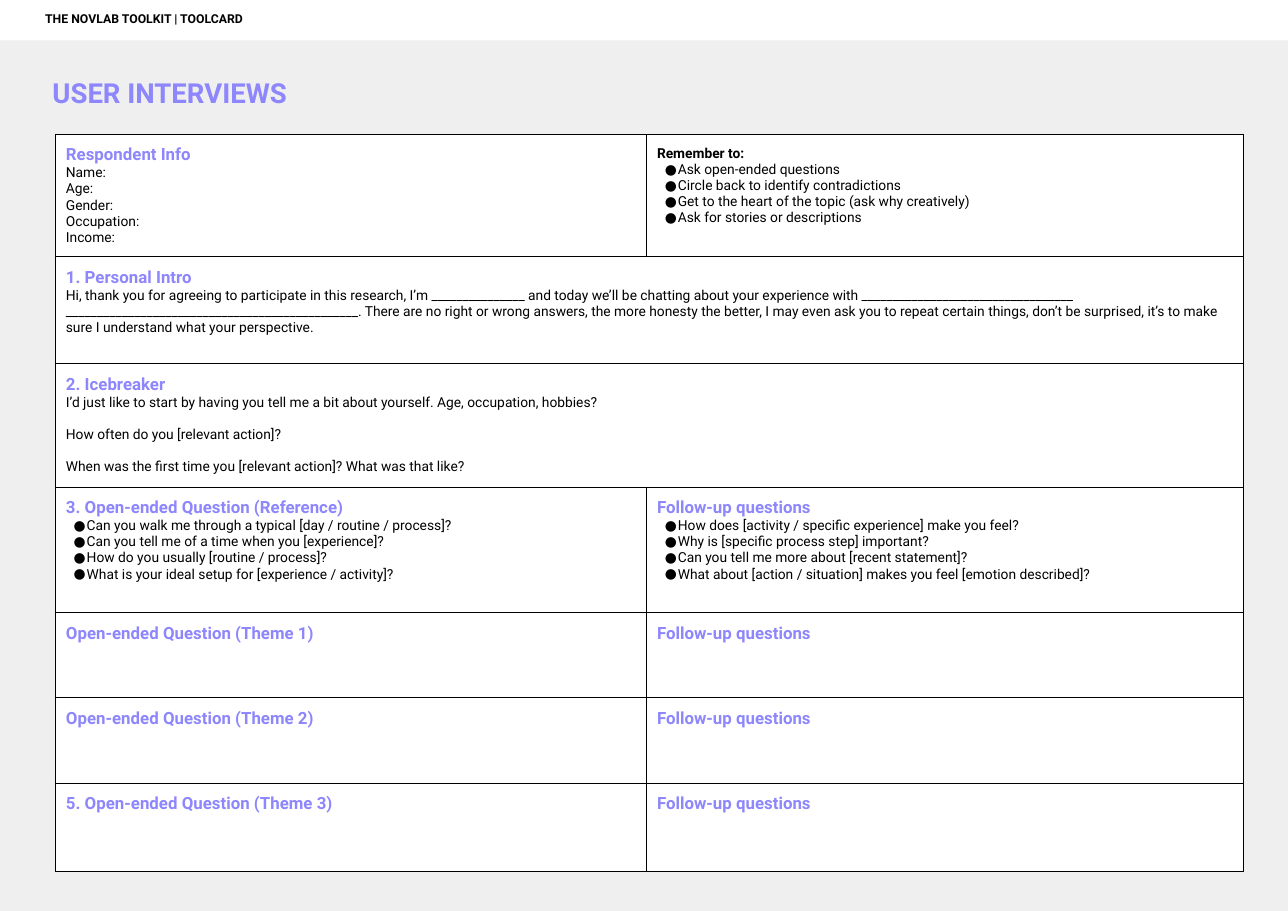
from lxml import etree
from pptx import Presentation
from pptx.dml.color import RGBColor
from pptx.enum.shapes import MSO_SHAPE
from pptx.enum.text import MSO_ANCHOR, MSO_AUTO_SIZE, PP_ALIGN
from pptx.oxml.ns import qn
from pptx.util import Cm, Pt

RECTANGLE = MSO_SHAPE.RECTANGLE
TOP = MSO_ANCHOR.TOP
LEFT = PP_ALIGN.LEFT
NO_AUTOFIT = MSO_AUTO_SIZE.NONE
PURPLE, BLACK, WHITE, GREY = "8D86FC", "000000", "FFFFFF", "EFEFEF"
FONT = "Roboto"
INSET = Cm(0.25)


def color(hex_value):
    return RGBColor.from_string(hex_value)


def format_text(paragraph, size, hex_value, bold):
    paragraph.alignment = LEFT
    for run in paragraph.runs:
        run.font.name = FONT
        run.font.size = Pt(size)
        run.font.bold = bold
        run.font.color.rgb = color(hex_value)


FOLLOW_UP = ("Follow-up questions", "plain", [])
ROWS = [
    (2.81, [
        ("Respondent Info", "plain", ["Name:", "Age:", "Gender:", "Occupation:", "Income:"]),
        ("Remember to:", "bullets", [
            "Ask open-ended questions",
            "Circle back to identify contradictions",
            "Get to the heart of the topic (ask why creatively)",
            "Ask for stories or descriptions",
        ]),
    ]),
    (2.47, [
        ("1. Personal Intro", "plain", [
            "Hi, thank you for agreeing to participate in this research, I’m _______________ and today "
            "we’ll be chatting about your experience with __________________________________",
            "_______________________________________________. There are no right or wrong answers, the "
            "more honesty the better, I may even ask you to repeat certain things, don’t be surprised, "
            "it’s to make sure I understand what your perspective.",
        ]),
    ]),
    (2.84, [
        ("2. Icebreaker", "spaced", [
            "I’d just like to start by having you tell me a bit about yourself. Age, occupation, hobbies?",
            "How often do you [relevant action]?",
            "When was the first time you [relevant action]? What was that like?",
        ]),
    ]),
    (2.9, [
        ("3. Open-ended Question (Reference)", "bullets", [
            "Can you walk me through a typical [day / routine / process]?",
            "Can you tell me of a time when you [experience]?",
            "How do you usually [routine / process]?",
            "What is your ideal setup for [experience / activity]?",
        ]),
        ("Follow-up questions", "bullets", [
            "How does [activity / specific experience] make you feel?",
            "Why is [specific process step] important?",
            "Can you tell me more about [recent statement]?",
            "What about [action / situation] makes you feel [emotion described]?",
        ]),
    ]),
    (1.96, [("Open-ended Question (Theme 1)", "plain", []), FOLLOW_UP]),
    (1.97, [("Open-ended Question (Theme 2)", "plain", []), FOLLOW_UP]),
    (2.03, [("5. Open-ended Question (Theme 3)", "plain", []), FOLLOW_UP]),
]
COLUMN_WIDTHS = [13.63, 13.77]

presentation = Presentation()
presentation.slide_width = Cm(29.7)
presentation.slide_height = Cm(21)
slide = presentation.slides.add_slide(presentation.slide_layouts[5])
title = slide.shapes.title

backdrop = slide.shapes.add_shape(RECTANGLE, 0, 0, Cm(29.7), Cm(21))
header = slide.shapes.add_shape(RECTANGLE, 0, 0, Cm(29.7), Cm(0.93))
for shape, fill in [(backdrop, GREY), (header, WHITE)]:
    shape.shadow.inherit = False
    shape.fill.solid()
    shape.fill.fore_color.rgb = color(fill)
    shape.line.fill.background()
title._element.addprevious(backdrop._element)

title.left, title.top, title.width, title.height = Cm(0), Cm(1.5), Cm(16.87), Cm(1.3)
for shape, text, size, hex_value, margin in [
    (title, "USER INTERVIEWS", 18, PURPLE, 1.21),
    (header, "THE NOVLAB TOOLKIT | TOOLCARD", 8, BLACK, 1.04),
]:
    frame = shape.text_frame
    frame.text = text
    frame.word_wrap = True
    frame.auto_size = NO_AUTOFIT
    frame.vertical_anchor = TOP
    frame.margin_left = Cm(margin)
    frame.margin_top = frame.margin_right = frame.margin_bottom = INSET
    format_text(frame.paragraphs[0], size, hex_value, True)

table_frame = slide.shapes.add_table(
    len(ROWS), 2, Cm(1.27), Cm(3.1), Cm(sum(COLUMN_WIDTHS)), Cm(sum(height for height, _ in ROWS)))
table = table_frame.table
table.first_row = False
table.horz_banding = False
for column, width in zip(table.columns, COLUMN_WIDTHS):
    column.width = Cm(width)

for row_index, (height, sections) in enumerate(ROWS):
    table.rows[row_index].height = Cm(height)
    if len(sections) == 1:
        table.cell(row_index, 0).merge(table.cell(row_index, 1))

    for cell in table.rows[row_index].cells:
        cell_properties = cell._tc.get_or_add_tcPr()
        for side in ("a:lnL", "a:lnR", "a:lnT", "a:lnB"):
            border = etree.SubElement(cell_properties, qn(side), w=str(Pt(0.75)))
            border_fill = etree.SubElement(border, qn("a:solidFill"))
            etree.SubElement(border_fill, qn("a:srgbClr"), val=BLACK)
        cell.fill.solid()
        cell.fill.fore_color.rgb = color(WHITE)
        cell.vertical_anchor = TOP
        cell.margin_left = cell.margin_right = cell.margin_top = cell.margin_bottom = INSET

    for column_index, (heading, style, lines) in enumerate(sections):
        frame = table.cell(row_index, column_index).text_frame
        frame.text = "\n".join([heading, *lines])
        is_reminder = heading == "Remember to:"
        format_text(frame.paragraphs[0], 9 if is_reminder else 11, BLACK if is_reminder else PURPLE, True)
        for line_index, paragraph in enumerate(frame.paragraphs[1:]):
            if style == "bullets":
                properties = paragraph._p.get_or_add_pPr()
                properties.set("marL", str(Cm(0.48)))
                properties.set("indent", str(Cm(-0.3)))
                bullet_color = etree.SubElement(properties, qn("a:buClr"))
                etree.SubElement(bullet_color, qn("a:srgbClr"), val=BLACK)
                etree.SubElement(properties, qn("a:buFont"), typeface=FONT)
                etree.SubElement(properties, qn("a:buChar"), char="●")
            if style == "spaced" and line_index > 0:
                paragraph.space_before = Pt(10.5)
            format_text(paragraph, 9, BLACK, False)

presentation.save("out.pptx")
